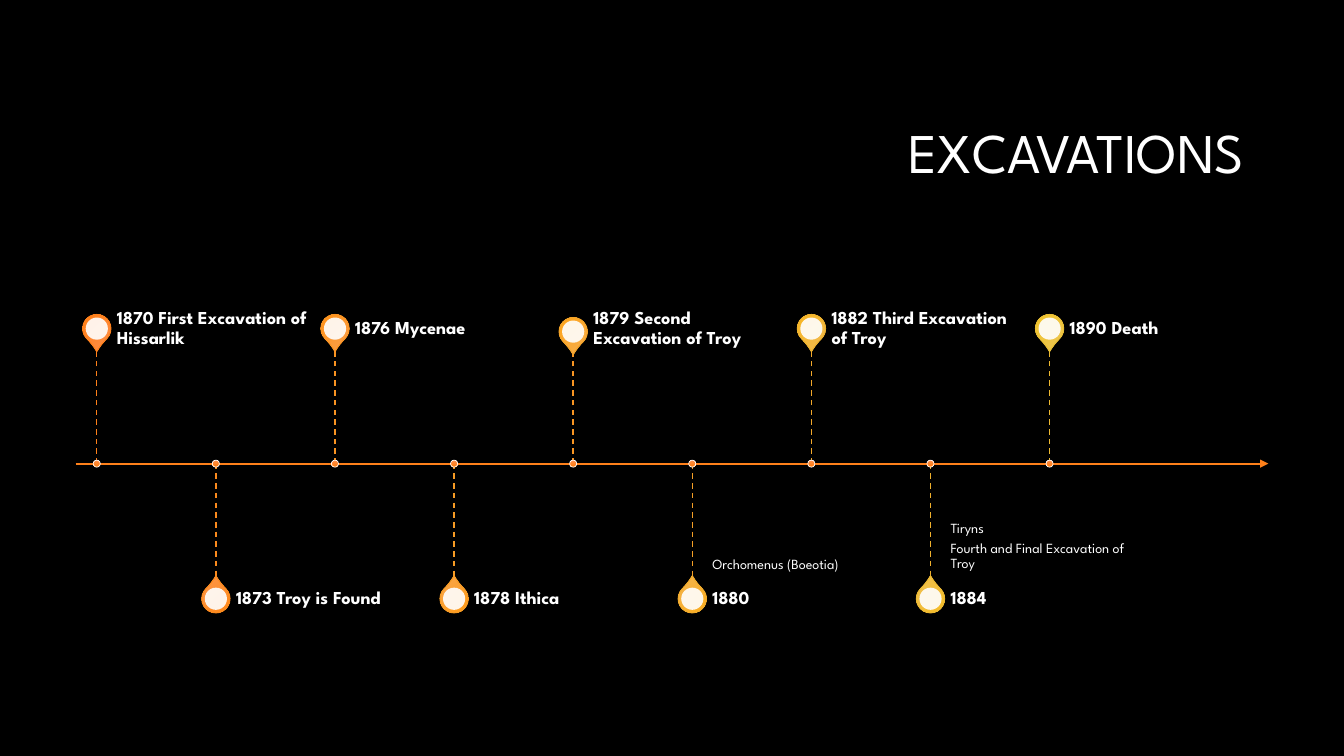
import pptx
import pptx.util
import pptx.dml.color
import pptx.enum.dml
import pptx.enum.shapes
import pptx.enum.text
import pptx.oxml.ns
from lxml import etree

Inches, Pt = pptx.util.Inches, pptx.util.Pt
RGB = pptx.dml.color.RGBColor.from_string
SHAPE = pptx.enum.shapes.MSO_SHAPE
ANCHOR = pptx.enum.text.MSO_ANCHOR
ALIGN = pptx.enum.text.PP_ALIGN
qn = pptx.oxml.ns.qn

COLORS = {"background": "000000", "text": "FFFFFF", "axis": "FE801A",
          "dot_top": "FE904F", "dot_bottom": "FF8019"}
FONT = "League Spartan"

AXIS_Y = 4.6
FIRST_X, LAST_X = 0.96, 10.41
LABEL_W, LABEL_H = 1.97, 0.4
STEM = 1.14
PIN, HOLE, DOT = 0.28, 0.22, 0.07

# label, details, pin gradient top and bottom, pin outline, stem colour, pin shift down
events = [
    ("1870 First Excavation of Hissarlik", [], "FE904F", "FF8019", "FE801A", "FE801A", 0),
    ("1873 Troy is Found", [], "FC9850", "FF891A", "FB8A1D", "FB8A1D", 0),
    ("1876 Mycenae", [], "F9A051", "FF931A", "F99321", "F99321", 0),
    ("1878 Ithica", [], "F7A752", "FF9C1B", "F69B24", "F69B24", 0),
    ("1879 Second Excavation of Troy", [], "F5AE53", "FEA51D", "F3A328", "F89522", 0.03),
    ("1880", ["Orchomenus (Boeotia)"], "F2B455", "FBAE21", "F1AB2B", "F59F26", 0),
    ("1882 Third Excavation of Troy", [], "F0BB56", "F8B625", "EEB22E", "F2A82A", 0),
    ("1884", ["Tiryns", "Fourth and Final Excavation of Troy"],
     "EEC058", "F5BD28", "ECB932", "EFB02D", 0),
    ("1890 Death", [], "EBC659", "F2C42C", "E9BF35", "ECB831", 0),
]

deck = pptx.Presentation()
deck.slide_width, deck.slide_height = Inches(13.33), Inches(7.5)
slide = deck.slides.add_slide(deck.slide_layouts[6])
slide.background.fill.solid()
slide.background.fill.fore_color.rgb = RGB(COLORS["background"])
shapes = slide.shapes


def add_text(paragraphs, left, top, width, height, size, bold=False,
             align=ALIGN.LEFT, anchor=ANCHOR.MIDDLE, insets=(0, 0, 0.09, 0)):
    """Add a text box; insets run left, top, right, bottom in inches."""
    frame = shapes.add_textbox(Inches(left), Inches(top), Inches(width), Inches(height)).text_frame
    frame.word_wrap = True
    frame.vertical_anchor = anchor
    (frame.margin_left, frame.margin_top,
     frame.margin_right, frame.margin_bottom) = map(Inches, insets)
    for index, text in enumerate(paragraphs):
        paragraph = frame.add_paragraph() if index else frame.paragraphs[0]
        paragraph.alignment = align
        paragraph.line_spacing = 0.9
        paragraph.space_after = Pt(size * 0.35)
        run = paragraph.add_run()
        run.text = text
        run.font.name, run.font.size, run.font.bold = FONT, Pt(size), bold
        run.font.color.rgb = RGB(COLORS["text"])


def add_line(x1, y1, x2, y2, color, weight):
    line = shapes.add_connector(pptx.enum.shapes.MSO_CONNECTOR.STRAIGHT,
                                Inches(x1), Inches(y1), Inches(x2), Inches(y2))
    line.line.color.rgb = RGB(color)
    line.line.width = Pt(weight)
    etree.SubElement(line.element.spPr, qn("a:effectLst"))
    return line


add_text(["EXCAVATIONS"], 3.17, 0.84, 9.42, 1.41, 40, align=ALIGN.RIGHT,
         insets=(0.1, 0.05, 0.25, 0.05))

axis = add_line(0.75, AXIS_Y, 12.58, AXIS_Y, COLORS["axis"], 1.5)
etree.SubElement(axis.element.spPr.find(qn("a:ln")), qn("a:tailEnd"), type="triangle")

pitch = (LAST_X - FIRST_X) / (len(events) - 1)
for index, (label, details, light, deep, outline, stem_color, shift) in enumerate(events):
    x = FIRST_X + index * pitch
    above = index % 2 == 0
    stem_end = AXIS_Y - STEM if above else AXIS_Y + STEM
    label_top = stem_end - LABEL_H if above else stem_end
    pin_y = label_top + LABEL_H / 2 + shift

    # Each round part: kind, size, centre height, gradient, outline, outline weight
    pin_part = (SHAPE.TEAR, PIN, pin_y, (light, deep), outline, 0.75)
    hole_part = (SHAPE.OVAL, HOLE, pin_y, None, None, 0)
    dot_part = (SHAPE.OVAL, DOT, AXIS_Y, (COLORS["dot_top"], COLORS["dot_bottom"]),
                COLORS["text"], 0.5)
    add_line(x, AXIS_Y, x, stem_end, stem_color, 1).line.dash_style = \
        pptx.enum.dml.MSO_LINE.DASH
    for kind, size, y, gradient, edge, weight in (pin_part, hole_part, dot_part):
        part = shapes.add_shape(kind, Inches(x - size / 2), Inches(y - size / 2),
                                Inches(size), Inches(size))
        part.shadow.inherit = False
        if gradient:
            part.fill.gradient()
            part.fill.gradient_angle = 270
            for stop, color, position in zip(part.fill.gradient_stops, gradient, (0, 0.78)):
                stop.color.rgb = RGB(color)
                stop.position = position
            part.line.color.rgb = RGB(edge)
            part.line.width = Pt(weight)
        else:
            part.fill.solid()
            part.fill.fore_color.rgb = RGB(COLORS["text"])
            white = part.element.spPr.find(qn("a:solidFill"))[0]
            etree.SubElement(white, qn("a:alpha"), val="90000")
            part.line.fill.background()
        if kind == SHAPE.TEAR:
            part.adjustments[0] = 1.15
            part.rotation = 135 if above else 315

    if details:
        add_text(details, x + 0.2, AXIS_Y, LABEL_W, STEM, 10,
                 anchor=ANCHOR.BOTTOM, insets=(0, 0.1, 0, 0.07))
    add_text([label], x + 0.2, label_top, LABEL_W, LABEL_H, 13, bold=True)

deck.save("out.pptx")
